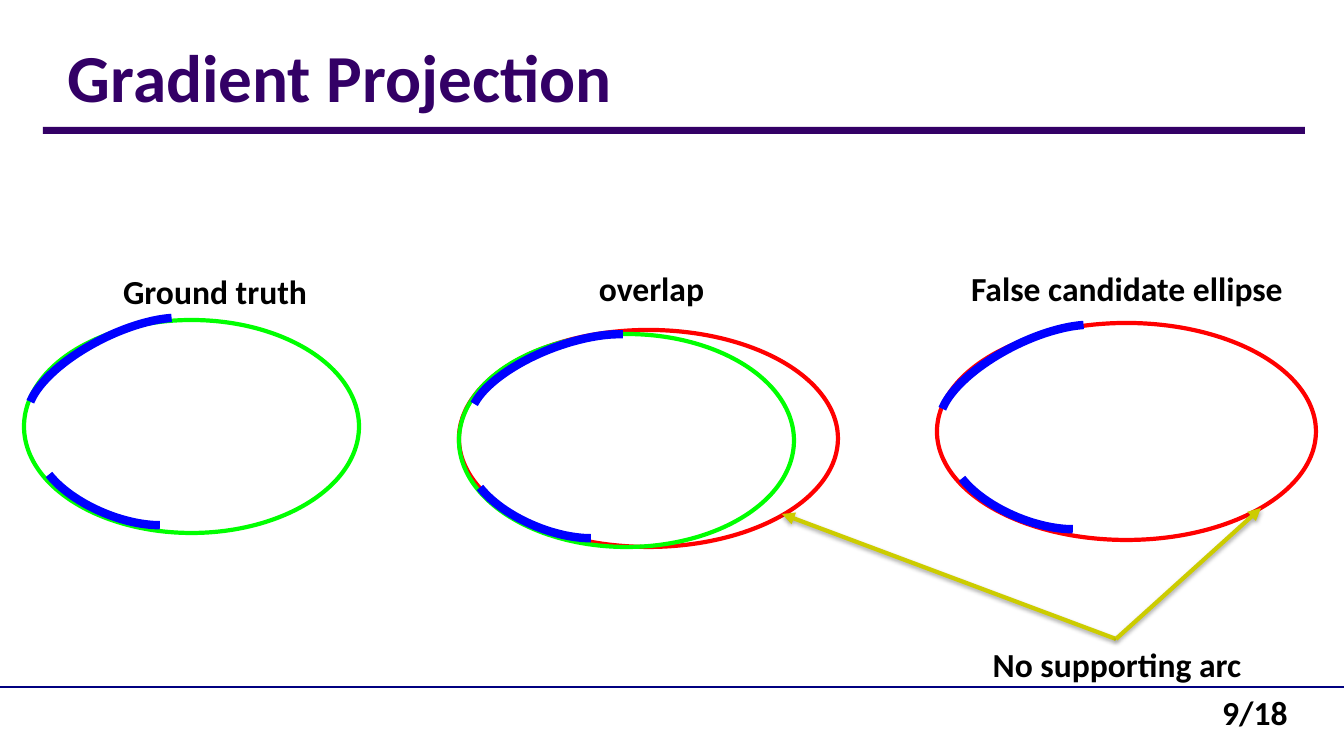
import lxml.etree
import pptx
import pptx.dml.color
import pptx.enum.shapes
import pptx.enum.text
import pptx.oxml
import pptx.oxml.ns
import pptx.util

RGB = pptx.dml.color.RGBColor
SHAPE = pptx.enum.shapes.MSO_SHAPE
ALIGN = pptx.enum.text.PP_ALIGN
ANCHOR = pptx.enum.text.MSO_ANCHOR
QN = pptx.oxml.ns.qn

PURPLE = RGB(0x33, 0x00, 0x66)
NAVY = RGB(0x00, 0x00, 0x80)
RED = RGB(0xFF, 0x00, 0x00)
GREEN = RGB(0x00, 0xFF, 0x00)
BLUE = RGB(0x00, 0x00, 0xFF)
OLIVE = RGB(0xCC, 0xCC, 0x00)
BLACK = RGB(0x00, 0x00, 0x00)

SCALE = 914400 / 100.8
SHADOW = (
    '<a:outerShdw xmlns:a="http://schemas.openxmlformats.org/drawingml/2006/main"'
    ' blurRad="40000" dist="23000" dir="5400000" rotWithShape="0">'
    '<a:srgbClr val="000000"><a:alpha val="35000"/></a:srgbClr></a:outerShdw>'
)


def emu(*lengths):
    return [pptx.util.Emu(round(px * SCALE)) for px in lengths]


class Painter:
    """Draws on one slide in a shared style, with lengths in px."""

    font = "Calibri"

    def __init__(self, deck):
        self.slide = deck.slides.add_slide(deck.slide_layouts[6])
        self.shapes = self.slide.shapes

    def text(self, words, box, size=24, color=BLACK, align=ALIGN.CENTER, anchor=ANCHOR.TOP):
        frame = self.shapes.add_textbox(*emu(*box)).text_frame
        frame.word_wrap = True
        frame.vertical_anchor = anchor
        frame.text = words
        para = frame.paragraphs[0]
        para.alignment = align
        font = para.runs[0].font
        font.name, font.size, font.bold = self.font, pptx.util.Pt(size), True
        font.color.rgb = color
        return para

    def bar(self, box, color):
        shape = self.shapes.add_shape(SHAPE.RECTANGLE, *emu(*box))
        shape.shadow.inherit = False
        shape.fill.solid()
        shape.fill.fore_color.rgb = color
        shape.line.fill.background()

    def outline(self, kind, box, color, width):
        shape = self.shapes.add_shape(kind, *emu(*box))
        shape.shadow.inherit = False
        shape.fill.background()
        shape.line.color.rgb = color
        shape.line.width = pptx.util.Pt(width)
        return shape

    def ellipse(self, box, color):
        self.outline(SHAPE.OVAL, box, color, 3)

    def arc(self, box, turn, start):
        shape = self.outline(SHAPE.ARC, box, BLUE, 6)
        shape.adjustments[0] = start
        shape.adjustments[1] = 203.02
        shape.rotation = turn

    def arcs(self, upper, lower, turn=333.3):
        """Draw the two supporting arcs, given their top left corners."""
        self.arc((*upper, 202, 82), turn, 114.39)
        self.arc((*lower, 171, 81), 202.5, 125.07)

    def line(self, start, end, color, width):
        link = self.shapes.add_connector(
            pptx.enum.shapes.MSO_CONNECTOR.STRAIGHT, *emu(*start, *end))
        link.line.color.rgb = color
        link.line.width = pptx.util.Pt(width)
        effects = lxml.etree.SubElement(link._element.spPr, QN("a:effectLst"))
        return link, effects

    def arrow(self, start, end):
        link, effects = self.line(start, end, OLIVE, 3)
        outline = link.line._get_or_add_ln()
        lxml.etree.SubElement(outline, QN("a:tailEnd"), type="triangle")
        effects.append(pptx.oxml.parse_xml(SHADOW))


def main():
    deck = pptx.Presentation()
    deck.slide_width, deck.slide_height = emu(1344, 756)
    art = Painter(deck)

    art.line((0, 687), (1344, 687), NAVY, 2)
    art.bar((43, 127, 1262, 7), PURPLE)
    art.text("Gradient Projection", (58, 6, 1228, 115), 48, PURPLE, ALIGN.LEFT, ANCHOR.BOTTOM)

    art.ellipse((24, 320, 335, 213), GREEN)
    art.arcs((19, 335), (34, 435))
    art.text("Ground truth", (82, 266, 266, 50))

    art.ellipse((459, 330, 379, 217), RED)
    art.ellipse((459, 334, 335, 213), GREEN)
    art.text("overlap", (510, 263, 283, 50))

    art.ellipse((937, 323, 379, 217), RED)
    art.arcs((931, 342), (947, 439))
    art.text("False candidate ellipse", (946, 263, 362, 50))

    art.text("No supporting arc", (947, 639, 340, 50))
    for target in ((782, 514), (1261, 508)):
        art.arrow((1116, 639), target)
    art.arcs((465, 346), (465, 448), turn=338.9)

    page = art.text("9/18", (1166, 692, 178, 61))
    page.line_spacing = 0.9
    page.space_after = pptx.util.Pt(6)

    deck.save("out.pptx")


if __name__ == "__main__":
    main()
